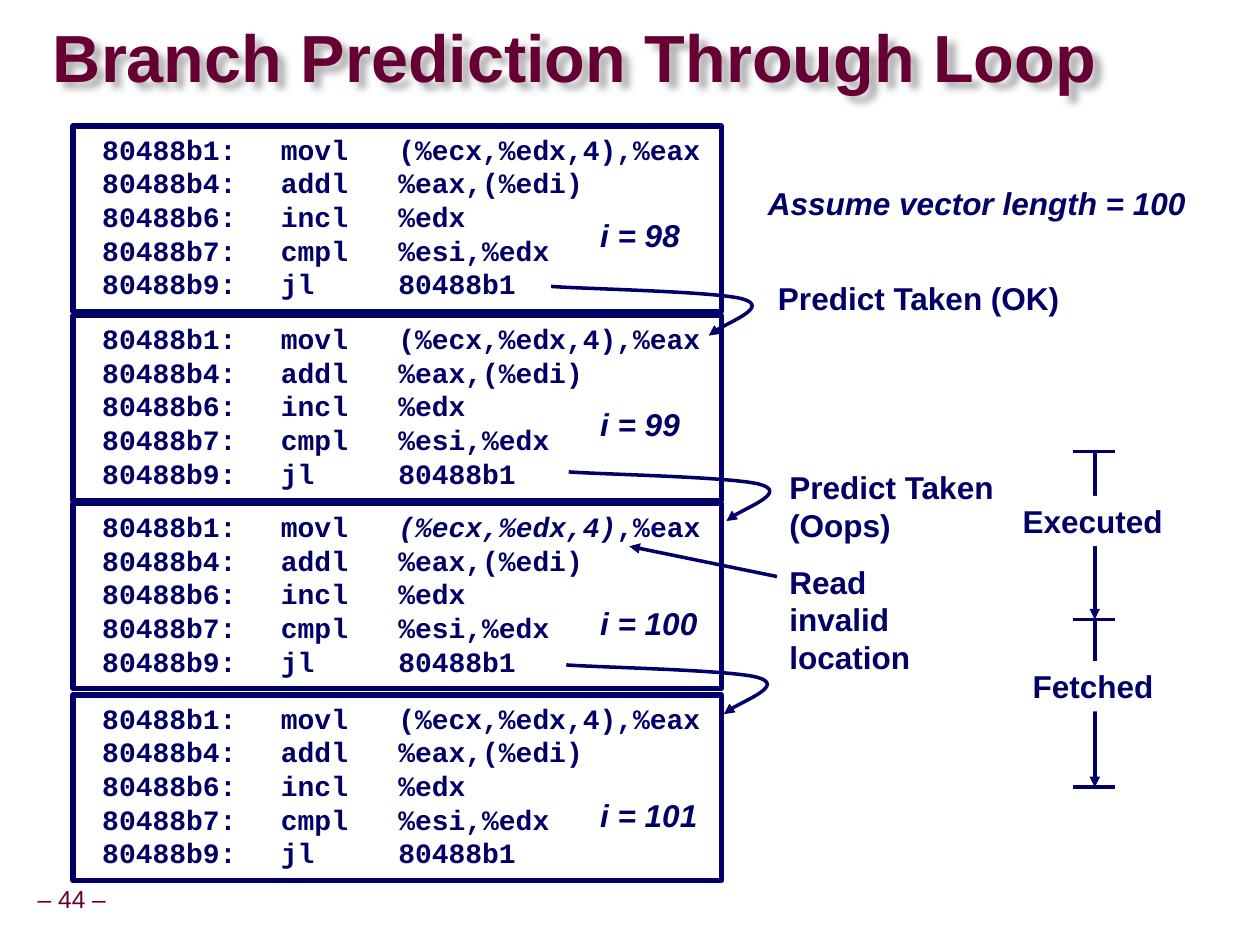
from lxml import etree
from pptx import Presentation
from pptx import util as u
from pptx.dml.color import RGBColor
from pptx.enum import shapes, text
from pptx.oxml.ns import qn

PX = 9144  # one px is a hundredth of an inch
COLORS = {"ink": "000066", "title": "660033", "paper": "FFFFFF", "shadow": "808080"}
SANS, MONO = "Arial", "Courier New"
CODE = [
    " 80488b1:\tmovl   (%ecx,%edx,4),%eax",
    " 80488b4:\taddl   %eax,(%edi)",
    " 80488b6:\tincl   %edx",
    " 80488b7:\tcmpl   %esi,%edx",
    " 80488b9:\tjl     80488b1",
]
INVALID_READ = "(%ecx,%edx,4)"
TAB_STOPS = [74, 155, 390, 507]


def px(*lengths):
    return [u.Emu(length * PX) for length in lengths]


def rgb(name):
    return RGBColor.from_string(COLORS[name])


def add_span(para, words, size=18, font=SANS, color="ink", bold=True, italic=False):
    span = para.add_run()
    span.text = words
    span.font.name, span.font.size = font, u.Pt(size)
    span.font.bold, span.font.italic = bold, italic
    span.font.color.rgb = rgb(color)


def set_frame(frame, margins=(10, 5), wrap=False, grow=True):
    side, edge = px(*margins)
    frame.margin_left = frame.margin_right = side
    frame.margin_top = frame.margin_bottom = edge
    frame.word_wrap = wrap
    frame.auto_size = (text.MSO_AUTO_SIZE.SHAPE_TO_FIT_TEXT if grow
                       else text.MSO_AUTO_SIZE.NONE)
    frame.vertical_anchor = text.MSO_ANCHOR.TOP


def set_line(shape, width=2, arrow=False):
    shape.line.color.rgb = rgb("ink")
    shape.line.width = u.Pt(width)
    if arrow:
        etree.SubElement(shape.line._get_or_add_ln(), qn("a:tailEnd"), type="triangle")


def add_line(page, start, end, arrow=False):
    line = page.shapes.add_connector(shapes.MSO_CONNECTOR.STRAIGHT, *px(*start, *end))
    set_line(line, arrow=arrow)
    etree.SubElement(line._element.spPr, qn("a:effectLst"))


def add_note(page, box, lines, italic=False, wrap=False):
    note = page.shapes.add_textbox(*px(*box))
    frame = note.text_frame
    set_frame(frame, wrap=wrap)
    for index, words in enumerate(lines):
        para = frame.add_paragraph() if index else frame.paragraphs[0]
        add_span(para, words, italic=italic)
    return note


def add_title(page, box, words):
    title = page.shapes.add_textbox(*px(*box))
    frame = title.text_frame
    set_frame(frame, margins=(0, 0), wrap=True, grow=False)
    frame.vertical_anchor = text.MSO_ANCHOR.MIDDLE
    para = frame.paragraphs[0]
    para.line_spacing = 0.87
    add_span(para, words, size=38, color="title")
    # Soft shadow to the lower right
    effects = etree.SubElement(title._element.spPr, qn("a:effectLst"))
    shadow = etree.SubElement(effects, qn("a:outerShdw"), blurRad="50800",
                              dist="63500", dir="2700000", algn="tl", rotWithShape="0")
    color = etree.SubElement(shadow, qn("a:srgbClr"), val=COLORS["shadow"])
    etree.SubElement(color, qn("a:alpha"), val="60000")


def add_page_number(page, box, words):
    number = page.shapes.add_textbox(*px(*box))
    frame = number.text_frame
    set_frame(frame, margins=(5, 5))
    frame.vertical_anchor = text.MSO_ANCHOR.MIDDLE
    para = frame.paragraphs[0]
    para.alignment, para.line_spacing = text.PP_ALIGN.CENTER, 0.9
    add_span(para, words, size=14, color="title", bold=False)


def add_iteration(page, box, count, count_top, count_width, invalid=False):
    """One pass of the loop: framed code with its counter on the right."""
    left, top = box[:2]
    block = page.shapes.add_shape(shapes.MSO_SHAPE.RECTANGLE, *px(*box))
    block.shadow.inherit = False
    block.fill.background()
    set_line(block, width=3)
    frame = block.text_frame
    set_frame(frame)
    for index, code in enumerate(CODE):
        para = frame.add_paragraph() if index else frame.paragraphs[0]
        para.alignment = text.PP_ALIGN.LEFT
        stops = etree.SubElement(para._p.get_or_add_pPr(), qn("a:tabLst"))
        for stop in TAB_STOPS:
            etree.SubElement(stops, qn("a:tab"), pos=str(stop * PX), algn="l")
        if invalid and INVALID_READ in code:
            before, after = code.split(INVALID_READ)
            parts = [(before, False), (INVALID_READ, True), (after, False)]
        else:
            parts = [(code, False)]
        for words, italic in parts:
            add_span(para, words, size=16, font=MONO, italic=italic)
    add_note(page, (left + 408, top + count_top, count_width, 40),
             [f"i = {count}"], italic=True)


def add_jump(page, left, top):
    """Curved arrow from a jump to the next pass."""
    bends = [(25, 2), (132, 4), (152, 10), (173, 16), (130, 33), (125, 39)]
    builder = page.shapes.build_freeform(left, top, scale=PX)
    builder.add_line_segments([(left + x, top + y) for x, y in bends], close=False)
    jump = builder.convert_to_shape()
    jump.shadow.inherit = False
    jump.fill.background()
    set_line(jump, arrow=True)
    # Turn each three points into one cubic curve
    outline = next(jump._element.iter(qn("a:path")))
    for index, step in enumerate(outline.findall(qn("a:lnTo"))):
        if index % 3 == 0:
            curve = etree.SubElement(outline, qn("a:cubicBezTo"))
        curve.append(step[0])
        outline.remove(step)


def add_timeline(page, box, labels):
    """Vertical phases between ticks, each with a label over its arrow."""
    left, top, width, height = box
    middle, phase = left + 17, height // len(labels)
    for index, (words, drop, label_width) in enumerate(labels):
        start = top + index * phase
        add_line(page, (middle, start), (middle, start + phase), arrow=True)
        label = add_note(page, (middle - 1 - label_width // 2, start + drop,
                                label_width, 40), [words])
        label.fill.solid()
        label.fill.fore_color.rgb = rgb("paper")
    for index in range(len(labels) + 1):
        tick = top + index * phase
        add_line(page, (left, tick), (left + width, tick))


def main():
    deck = Presentation()
    deck.slide_width, deck.slide_height = px(999, 749)
    page = deck.slides.add_slide(deck.slide_layouts[6])

    add_page_number(page, (23, 698, 68, 32), "– 44 –")
    add_title(page, (42, 17, 858, 63), "Branch Prediction Through Loop")

    # Loop passes
    for count, top, count_top, count_width in [
            (98, 100, 66, 89), (99, 250, 66, 89), (100, 399, 75, 103), (101, 551, 75, 103)]:
        add_iteration(page, (58, top, 514, 147), count, count_top, count_width,
                      invalid=count == 100)
    for left, top in [(437, 227), (451, 374), (449, 527)]:
        add_jump(page, left, top)

    # Remarks
    add_note(page, (599, 141, 360, 40), ["Assume vector length = 100"], italic=True)
    add_note(page, (607, 216, 245, 40), ["Predict Taken (OK)"])
    add_note(page, (616, 366, 184, 70), ["Predict Taken", "(Oops)"])
    add_note(page, (616, 441, 141, 100), ["Read invalid location"], wrap=True)
    add_line(page, (616, 457), (499, 433), arrow=True)

    add_timeline(page, (851, 358, 33, 266), [("Executed", 35, 132), ("Fetched", 33, 117)])
    deck.save("out.pptx")


if __name__ == "__main__":
    main()
